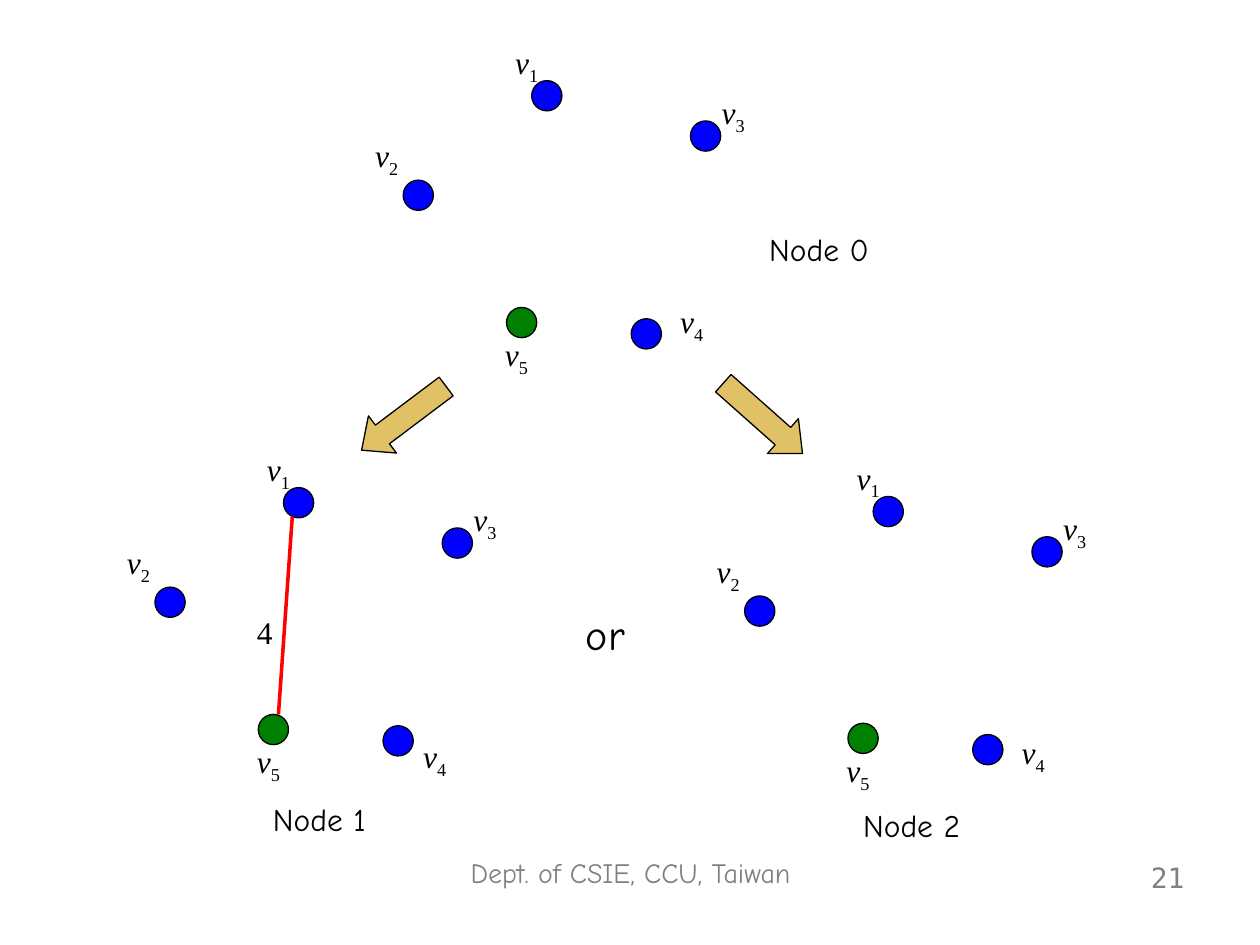
from dataclasses import dataclass, field

from lxml import etree
from pptx import Presentation
from pptx.dml.color import RGBColor
from pptx.enum.shapes import MSO_CONNECTOR, MSO_SHAPE
from pptx.enum.text import PP_ALIGN
from pptx.oxml.ns import qn
from pptx.util import Inches, Pt

ELLIPSE = MSO_SHAPE.OVAL
DOWN_ARROW = MSO_SHAPE.DOWN_ARROW
STRAIGHT = MSO_CONNECTOR.STRAIGHT
LEFT, CENTER, RIGHT = PP_ALIGN.LEFT, PP_ALIGN.CENTER, PP_ALIGN.RIGHT

COLORS = {
    "black": "000000",
    "blue": "0000FF",
    "green": "008000",
    "red": "FF0000",
    "gold": "CC9900",
    "gray": "808080",
}
HAND_FONT = "Comic Neue"
MATH_FONT = "Times New Roman"
NUMBER_FONT = "DejaVu Sans Mono"
DOT_SIZE = 0.24
LABEL_WIDTH, LABEL_HEIGHT = 0.47, 0.44


@dataclass
class Vertex:
    index: str
    dot: tuple[float, float]
    label: tuple[float, float]
    color: str = "blue"


@dataclass
class Node:
    """One search-tree node; its graph is the common graph moved by offset."""

    name: str
    offset: tuple[float, float]
    caption: tuple[float, float, float]  # left, top, width
    label_shifts: dict[str, tuple[float, float]] = field(default_factory=dict)


@dataclass
class Arrow:
    left: float
    rotation: float


VERTICES = [
    Vertex("1", (4.22, 0.64), (3.99, 0.29)),
    Vertex("2", (3.20, 1.43), (2.88, 1.03)),
    Vertex("3", (5.48, 0.96), (5.63, 0.69)),
    Vertex("4", (5.01, 2.53), (5.30, 2.35)),
    Vertex("5", (4.02, 2.44), (3.91, 2.61), "green"),
]
NODES = [
    Node("Node 1", (-1.97, 3.23), (1.28, 6.30, 2.51), {"4": (-0.07, 0.22)}),
    Node("Node 2", (2.71, 3.30), (5.98, 6.35, 2.51), {"4": (0, 0.12)}),
    Node("Node 0", (0, 0), (5.59, 1.78, 1.82)),
]
ARROWS = [Arrow(3.02, 53), Arrow(5.87, 311.6)]


def rgb(name: str) -> RGBColor:
    return RGBColor.from_string(COLORS[name])


def add_text(shapes, box: tuple[float, float, float, float], text: str,
             size: float = 18, font: str = HAND_FONT, color: str = "black",
             align=CENTER):
    """Add a one-line text box and return its paragraph."""
    frame = shapes.add_textbox(*map(Inches, box)).text_frame
    frame.word_wrap = True
    frame.text = text
    paragraph = frame.paragraphs[0]
    paragraph.alignment = align
    for run in paragraph.runs:
        run.font.size = Pt(size)
        run.font.name = font
        run.font.color.rgb = rgb(color)
    return paragraph


def add_filled_shape(shapes, kind, box: tuple[float, float, float, float], color: str):
    shape = shapes.add_shape(kind, *map(Inches, box))
    shape.shadow.inherit = False
    shape.fill.solid()
    shape.fill.fore_color.rgb = rgb(color)
    shape.line.color.rgb = rgb("black")
    shape.line.width = Pt(0.75)
    return shape


def add_vertex_label(shapes, left: float, top: float, index: str) -> None:
    """Write an italic v followed by an upright subscript."""
    paragraph = add_text(shapes, (left, top, LABEL_WIDTH, LABEL_HEIGHT), "v",
                         font=MATH_FONT, align=LEFT)
    paragraph.runs[0].font.italic = True
    subscript = paragraph.add_run()
    subscript.text = index
    subscript.font.size = Pt(18)
    subscript.font.name = MATH_FONT
    subscript.font.color.rgb = rgb("black")
    subscript.font._element.set("baseline", "-25000")


def add_node(slide, node: Node):
    """Draw a node as a group and return the shapes of the group."""
    shapes = slide.shapes.add_group_shape().shapes
    across, down = node.offset
    for vertex in VERTICES:
        dot_left, dot_top = vertex.dot
        add_filled_shape(shapes, ELLIPSE,
                         (dot_left + across, dot_top + down, DOT_SIZE, DOT_SIZE),
                         vertex.color)
        shift_across, shift_down = node.label_shifts.get(vertex.index, (0, 0))
        label_left, label_top = vertex.label
        add_vertex_label(shapes, label_left + across + shift_across,
                         label_top + down + shift_down, vertex.index)
    add_text(shapes, (*node.caption, 0.4), node.name)
    return shapes


def add_weighted_edge(shapes) -> None:
    edge = shapes.add_connector(STRAIGHT, Inches(2.32), Inches(4.1),
                                Inches(2.21), Inches(5.67))
    edge.line.color.rgb = rgb("red")
    edge.line.width = Pt(2)
    etree.SubElement(edge._element.spPr, qn("a:effectLst"))
    add_text(shapes, (1.94, 4.82, LABEL_WIDTH, 0.4), "4", font=MATH_FONT, align=LEFT)


def add_branch_arrow(slide, arrow: Arrow) -> None:
    shape = add_filled_shape(slide.shapes, DOWN_ARROW,
                             (arrow.left, 2.9, 0.37, 0.84), "gold")
    shape.adjustments[0] = 0.5
    shape.adjustments[1] = 0.56
    shape.rotation = arrow.rotation
    fill_color = shape._element.spPr.find(qn("a:solidFill"))[0]
    etree.SubElement(fill_color, qn("a:alpha"), val="60000")


def main() -> None:
    presentation = Presentation()
    presentation.slide_width = Inches(10)
    presentation.slide_height = Inches(7.5)
    slide = presentation.slides.add_slide(presentation.slide_layouts[6])

    add_text(slide.shapes, (4.51, 4.78, 0.59, 0.5), "or", size=24)
    for node in NODES:
        node_shapes = add_node(slide, node)
        if node.name == "Node 1":
            add_weighted_edge(node_shapes)
    for arrow in ARROWS:
        add_branch_arrow(slide, arrow)

    add_text(slide.shapes, (3.19, 6.74, 3.63, 0.52), "Dept. of CSIE, CCU, Taiwan",
             size=16, color="gray")
    add_text(slide.shapes, (7.17, 6.78, 2.33, 0.52), "21",
             size=16, font=NUMBER_FONT, color="gray", align=RIGHT)
    presentation.save("out.pptx")


if __name__ == "__main__":
    main()
